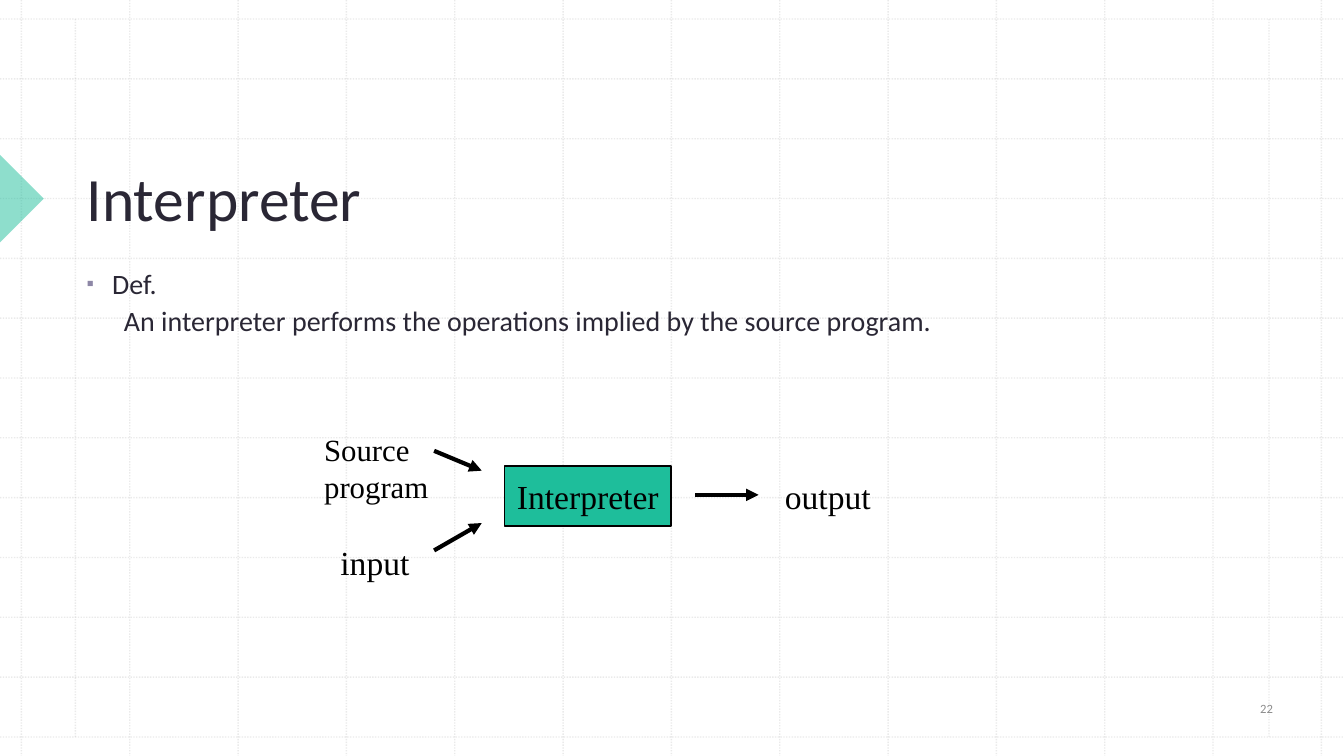
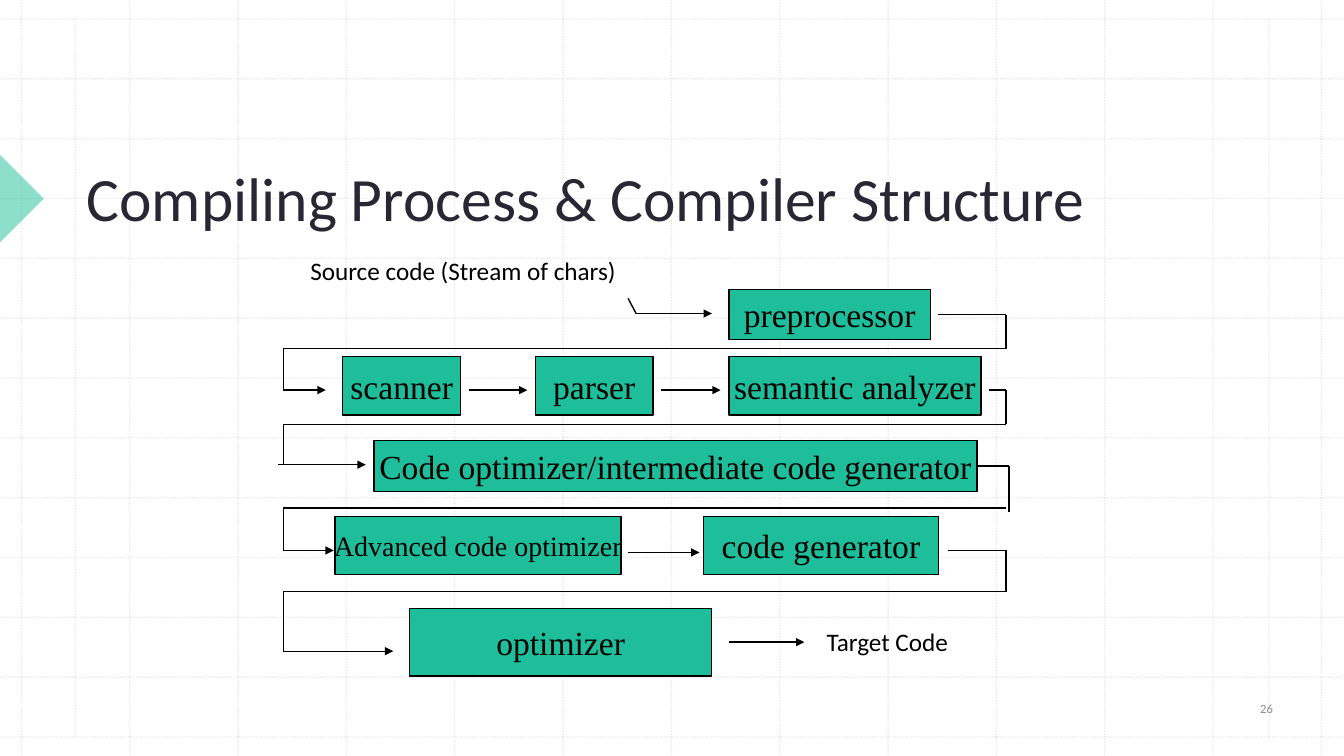
from collections import namedtuple

from lxml.etree import SubElement
from pptx import Presentation
from pptx.dml.color import RGBColor
from pptx.enum.dml import MSO_LINE_DASH_STYLE as Dash
from pptx.enum.shapes import MSO_CONNECTOR as Connector, MSO_SHAPE as Preset
from pptx.enum.text import MSO_ANCHOR as Anchor, MSO_AUTO_SIZE as AutoSize, PP_ALIGN as Align
from pptx.oxml.ns import qn
from pptx.util import Cm, Pt

Box = namedtuple("Box", "left top width height")
Return = namedtuple("Return", "start_x start_y right_x drop_y turn_y entry_x entry_y end_x")

WIDTH, HEIGHT = 33.87, 19.05
ACCENT, INK, BLACK = "1EBE9B", "2A2735", "000000"
GRID, BULLET, NUMBER = "BCBCBC", "8D87A6", "8C8C8C"
SANS, SERIF = "Calibri", "Times New Roman"
TITLE_BOX = Box(1.93, 2.01, 28.68, 4.01)
BODY_BOX = Box(1.93, 6.5, 28.68, 9.9)
NUMBER_BOX = Box(30.56, 17.27, 2.72, 1.17)
INTERPRETER_BOX = Box(7.92, 10.72, 14.28, 4.09)
COMPILER_BOX = Box(7.14, 6.3, 18.21, 10.74)

STAGES = {
    "preprocessor": (Box(11.23, 0.99, 5.08, 1.27), 24),
    "scanner": (Box(1.5, 2.69, 2.97, 1.47), 24),
    "parser": (Box(6.35, 2.69, 2.97, 1.47), 24),
    "semantic analyzer": (Box(11.23, 2.69, 6.35, 1.47), 24),
    "Code optimizer/intermediate code generator": (Box(2.29, 4.8, 15.19, 1.28), 24),
    "Advanced code optimizer": (Box(1.3, 6.71, 7.21, 1.47), 20),
    "code generator": (Box(10.59, 6.71, 5.92, 1.47), 24),
    "optimizer": (Box(3.18, 9.04, 7.62, 1.7), 24),
}
RETURNS = [
    Return(16.51, 1.63, 18.21, 2.49, 2.49, 0, 3.53, 1.07),
    Return(17.78, 3.53, 18.21, 4.39, 4.39, -0.13, 5.41, 2.08),
    Return(17.48, 5.44, 18.29, 6.6, 6.5, 0, 7.57, 1.27),
    Return(16.74, 7.57, 18.21, 8.61, 8.61, 0, 10.11, 2.77),
]
STAGE_ARROWS = [
    (8.89, 1.6, 10.8),
    (4.67, 3.53, 6.15),
    (9.53, 3.53, 11.02),
    (8.69, 7.62, 10.49),
    (11.23, 9.88, 13.13),
]


def colour(value):
    return RGBColor.from_string(value)


def apply(target, values):
    for name, value in values.items():
        setattr(target, name, value)


def lengths(box):
    return [Cm(value) for value in box]


def within(region, box):
    return Box(region.left + box.left, region.top + box.top, box.width, box.height)


def set_alpha(element, percent):
    SubElement(element.find(".//" + qn("a:srgbClr")), qn("a:alpha"), val=str(percent * 1000))


def place(shape, box):
    apply(shape, dict(zip(Box._fields, lengths(box))))


def write(frame, lines, size, font=SANS, ink=BLACK, align=Align.LEFT, **frame_format):
    apply(frame, frame_format)
    for index, line in enumerate(lines):
        paragraph = frame.add_paragraph() if index else frame.paragraphs[0]
        paragraph.alignment = align
        run = paragraph.add_run()
        run.text = line
        apply(run.font, {"size": Pt(size), "name": font})
        run.font.color.rgb = colour(ink)


def add_line(slide, start, end, region=Box(0, 0, 0, 0), weight=1, ink=BLACK, arrow=False):
    points = [Cm(offset + value) for point in (start, end)
              for offset, value in zip(region[:2], point)]
    connector = slide.shapes.add_connector(Connector.STRAIGHT, *points)
    connector.line.width = Pt(weight)
    connector.line.color.rgb = colour(ink)
    properties = connector.element.spPr
    if arrow:
        SubElement(properties.find(qn("a:ln")), qn("a:tailEnd"), type="triangle")
    SubElement(properties, qn("a:effectLst"))
    return connector


def add_stage(slide, box, label, size=24):
    shape = slide.shapes.add_shape(Preset.RECTANGLE, *lengths(box))
    shape.shadow.inherit = False
    shape.fill.solid()
    shape.fill.fore_color.rgb = colour(ACCENT)
    shape.line.color.rgb = colour(BLACK)
    shape.line.width = Pt(1)
    write(shape.text_frame, [label], size, SERIF, align=Align.CENTER,
          word_wrap=False, vertical_anchor=Anchor.MIDDLE)
    return shape


def add_label(slide, box, lines, size, font=SANS):
    label = slide.shapes.add_textbox(*lengths(box))
    write(label.text_frame, lines, size, font,
          word_wrap=False, auto_size=AutoSize.SHAPE_TO_FIT_TEXT)


def add_grid_line(slide, start, end):
    line = add_line(slide, start, end, ink=GRID)
    line.line.dash_style = Dash.ROUND_DOT
    set_alpha(line.element, 30)
    return line


def add_marker(slide):
    marker = slide.shapes.add_shape(Preset.RIGHT_TRIANGLE, *lengths(Box(-0.79, 4.22, 1.57, 1.57)))
    marker.rotation = 225
    marker.shadow.inherit = False
    marker.fill.solid()
    marker.fill.fore_color.rgb = colour(ACCENT)
    set_alpha(marker.element, 50)
    marker.line.fill.background()
    return marker


def build_master(presentation, slide):
    edge, bottom, cells = 0.48, 18.57, 12
    columns = [0.54 + 2.73 * index for index in range(cells + 1)]
    rows = [edge + (bottom - edge) / cells * index for index in range(cells + 1)]
    shapes = [add_grid_line(slide, (x, 0), (x, HEIGHT)) for x in columns]
    shapes += [add_grid_line(slide, (0, y), (WIDTH, y)) for y in rows]
    shapes += [add_grid_line(slide, (x, edge), (x, bottom)) for x in (1.9, 31.98)]
    shapes.append(add_marker(slide))
    tree = presentation.slide_master.element.cSld.spTree
    for index, shape in enumerate(shapes):
        shape.element.xpath(".//p:cNvPr")[0].set("id", str(100 + index))
        tree.insert(2 + index, shape.element)


def add_slide(presentation, layout, title, number):
    slide = presentation.slides.add_slide(presentation.slide_layouts[layout])
    place(slide.shapes.title, TITLE_BOX)
    write(slide.shapes.title.text_frame, [title], 44, ink=INK,
          vertical_anchor=Anchor.BOTTOM, auto_size=AutoSize.NONE, word_wrap=True)
    number_box = slide.shapes.add_textbox(*lengths(NUMBER_BOX))
    write(number_box.text_frame, [number], 9, ink=NUMBER, align=Align.CENTER,
          vertical_anchor=Anchor.MIDDLE, word_wrap=True)
    return slide


def fill_definition(body, box, term, meaning):
    place(body, box)
    write(body.text_frame, [term, meaning], 20, ink=INK, auto_size=AutoSize.NONE, word_wrap=True)
    settings = [(10, 0.64, -0.64), (0, 0.94, 0)]
    for paragraph, (before, margin, indent) in zip(body.text_frame.paragraphs, settings):
        apply(paragraph, {"line_spacing": 1.1, "space_before": Pt(before)})
        properties = paragraph._p.get_or_add_pPr()
        properties.set("marL", str(Cm(margin)))
        properties.set("indent", str(Cm(indent)))
        if indent:
            SubElement(SubElement(properties, qn("a:buClr")), qn("a:srgbClr"), val=BULLET)
            SubElement(properties, qn("a:buSzPct"), val="75000")
            SubElement(properties, qn("a:buChar"), char="▪")
        else:
            SubElement(properties, qn("a:buNone"))


def draw_interpreter(slide, region):
    add_stage(slide, within(region, Box(4.8, 1.02, 4.19, 1.52)), "Interpreter")
    labels = [
        (Box(0, 0, 3.15, 2.11), ["Source", "program"], 22),
        (Box(0.41, 2.82, 2.26, 1.27), ["input"], 24),
        (Box(11.61, 1.14, 2.67, 1.27), ["output"], 24),
    ]
    for box, lines, size in labels:
        add_label(slide, within(region, box), lines, size, SERIF)
    arrows = [
        ((3.02, 0.64), (4.22, 1.14)),
        ((3.02, 3.15), (4.22, 2.46)),
        ((9.6, 1.75), (11.2, 1.75)),
    ]
    for start, end in arrows:
        add_line(slide, start, end, region, weight=3, arrow=True)


def draw_return(slide, region, route):
    first = add_line(slide, (route.start_x, route.start_y), (route.right_x, route.start_y), region)
    add_line(slide, (route.right_x, route.start_y), (route.right_x, route.drop_y), region)
    add_line(slide, (0, route.turn_y), (region.width, route.turn_y), region)
    add_line(slide, (0, route.turn_y), (0, route.entry_y), region)
    add_line(slide, (route.entry_x, route.entry_y), (route.end_x, route.entry_y), region, arrow=True)
    return first


def draw_compiler(slide, region):
    stages = {label: add_stage(slide, within(region, box), label, size)
              for label, (box, size) in STAGES.items()}
    exits = [draw_return(slide, region, route) for route in RETURNS]
    exits[2].begin_connect(stages["Code optimizer/intermediate code generator"], 3)
    for start, y, end in STAGE_ARROWS:
        add_line(slide, (start, y), (end, y), region, arrow=True)
    add_line(slide, (8.89, 1.6), (8.69, 1.22), region)
    add_label(slide, within(region, Box(0.43, 0, 9.55, 1.02)), ["Source code (Stream of chars)"], 18)
    add_label(slide, within(region, Box(13.44, 9.35, 4.17, 1.02)), ["Target Code"], 18)


def main():
    presentation = Presentation()
    apply(presentation, {"slide_width": Cm(WIDTH), "slide_height": Cm(HEIGHT)})
    interpreter = add_slide(presentation, 1, "Interpreter", "22")
    build_master(presentation, interpreter)
    fill_definition(interpreter.placeholders[1], BODY_BOX, "Def.",
                    "An interpreter performs the operations implied by the source program.")
    draw_interpreter(interpreter, INTERPRETER_BOX)
    compiler = add_slide(presentation, 5, "Compiling Process & Compiler Structure", "26")
    draw_compiler(compiler, COMPILER_BOX)
    presentation.save("out.pptx")


if __name__ == "__main__":
    main()
